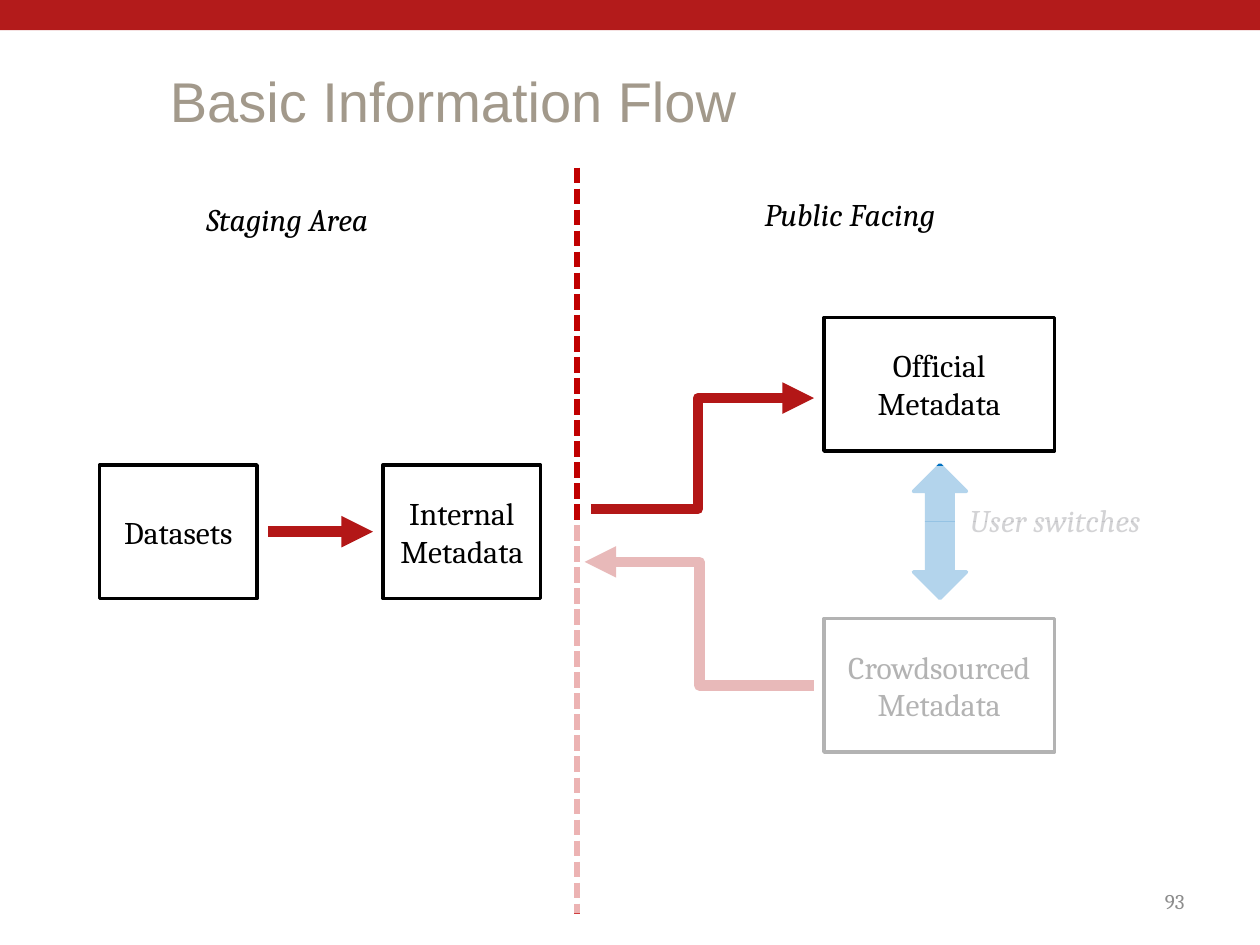
from pptx import Presentation
from pptx.dml.color import RGBColor
from pptx.enum.dml import MSO_LINE
from pptx.enum.shapes import MSO_CONNECTOR, MSO_SHAPE
from pptx.enum.text import MSO_ANCHOR, PP_ALIGN
from pptx.oxml.ns import qn
from pptx.util import Inches, Pt
from lxml import etree

RECT, BOTH = MSO_SHAPE.RECTANGLE, MSO_SHAPE.UP_DOWN_ARROW
LINE, ELBOW = MSO_CONNECTOR.STRAIGHT, MSO_CONNECTOR.ELBOW
LEFT, MID, RIGHT = PP_ALIGN.LEFT, PP_ALIGN.CENTER, PP_ALIGN.RIGHT
TOP, CENTER = MSO_ANCHOR.TOP, MSO_ANCHOR.MIDDLE
DASH = MSO_LINE.SQUARE_DOT

RED, FLOW, SPLIT = "B31B1B", "B31717", "C00000"
BLACK, WHITE, BLUE = "000000", "FFFFFF", "0070C0"


def color(code):
    return RGBColor.from_string(code)


def write(frame, text, size=18, font="Cambria", ink=BLACK, align=MID,
          anchor=CENTER, italic=False):
    frame.word_wrap = True
    frame.vertical_anchor = anchor
    for i, line in enumerate(text.split("\n")):
        para = frame.paragraphs[0] if i == 0 else frame.add_paragraph()
        para.alignment = align
        run = para.add_run()
        run.text = line
        run.font.size = Pt(size)
        run.font.name = font
        run.font.italic = italic
        run.font.color.rgb = color(ink)


class Page:
    box_high = 1.06
    flow_wide = 6

    def __init__(self, deck):
        self.shapes = deck.slides.add_slide(deck.slide_layouts[6]).shapes

    def shape(self, kind, x, y, w, h, fill, edge=None, alpha=None):
        item = self.shapes.add_shape(kind, Inches(x), Inches(y), Inches(w), Inches(h))
        item.shadow.inherit = False
        item.fill.solid()
        item.fill.fore_color.rgb = color(fill)
        if alpha is not None:
            tone = item.fill._xPr.find(".//" + qn("a:srgbClr"))
            etree.SubElement(tone, qn("a:alpha"), val=str(alpha * 1000))
        if edge:
            item.line.color.rgb = color(edge)
            item.line.width = Pt(2)
        else:
            item.line.fill.background()
        return item

    def box(self, text, x, y, w):
        item = self.shape(RECT, x, y, w, self.box_high, WHITE, BLACK)
        write(item.text_frame, text)

    def veil(self, x, y, w, h):
        self.shape(RECT, x, y, w, h, WHITE, alpha=70)

    def text(self, text, x, y, w, h, **style):
        item = self.shapes.add_textbox(Inches(x), Inches(y), Inches(w), Inches(h))
        write(item.text_frame, text, **style)

    def label(self, text, x, y, w=2.03, ink=BLACK):
        self.text(text, x, y, w, 0.4, ink=ink, anchor=TOP, italic=True)

    def line(self, kind, start, end, ink, width):
        ends = [Inches(n) for n in (*start, *end)]
        item = self.shapes.add_connector(kind, *ends)
        item.line.color.rgb = color(ink)
        item.line.width = Pt(width)
        etree.SubElement(item._element.spPr, qn("a:effectLst"))
        return item

    def flow(self, start, end, kind=LINE, bend=None):
        item = self.line(kind, start, end, FLOW, self.flow_wide)
        etree.SubElement(item.line._get_or_add_ln(), qn("a:tailEnd"), type="triangle")
        if bend:
            guides = item._element.spPr.find(".//" + qn("a:avLst"))
            etree.SubElement(guides, qn("a:gd"), name="adj1",
                             fmla=f"val {round(bend * 100000)}")


def main():
    deck = Presentation()
    deck.slide_width, deck.slide_height = Inches(10), Inches(7.5)
    page = Page(deck)

    # Banner, title and page number
    page.shape(RECT, 0, 0, 10, 0.24, RED)
    page.text("Basic Information Flow", 1.25, 0.42, 8.75, 0.75,
              size=32, font="Arial", ink="A2998B", align=LEFT)
    page.text("93", 7.17, 6.95, 2.33, 0.4, size=12, ink="8C8C8C", align=RIGHT)

    # Metadata stores
    row = 3.69
    page.box("Official\nMetadata", 6.54, 2.52, 1.83)
    page.box("Crowdsourced\nMetadata", 6.54, 4.91, 1.83)
    page.box("Internal\nMetadata", 3.04, row, 1.25)
    page.box("Datasets", 0.79, row, 1.25)

    # Flows between stores
    page.flow((2.13, 4.22), (2.96, 4.22))
    page.flow((6.46, 5.44), (4.64, 4.46), ELBOW)
    page.flow((4.69, 4.04), (6.46, 3.16), ELBOW, bend=0.48)

    # Areas and the split between them
    page.label("Staging Area", 1.23, 1.54, w=2.1)
    page.label("Public Facing", 5.73, 1.5)
    split = page.line(LINE, (4.58, 1.33), (4.58, 7.25), SPLIT, 3)
    split.line.dash_style = DASH

    # User switch
    page.shape(BOTH, 7.25, row, 0.42, page.box_high, BLUE, BLUE)
    page.label("User switches", 7.36, 3.93, ink="6C6C73")

    # Veils over the faded part
    page.veil(4.38, 4.14, 4.79, 3.11)
    page.veil(6.51, 3.7, 2.82, 0.44)

    deck.save("out.pptx")


if __name__ == "__main__":
    main()
